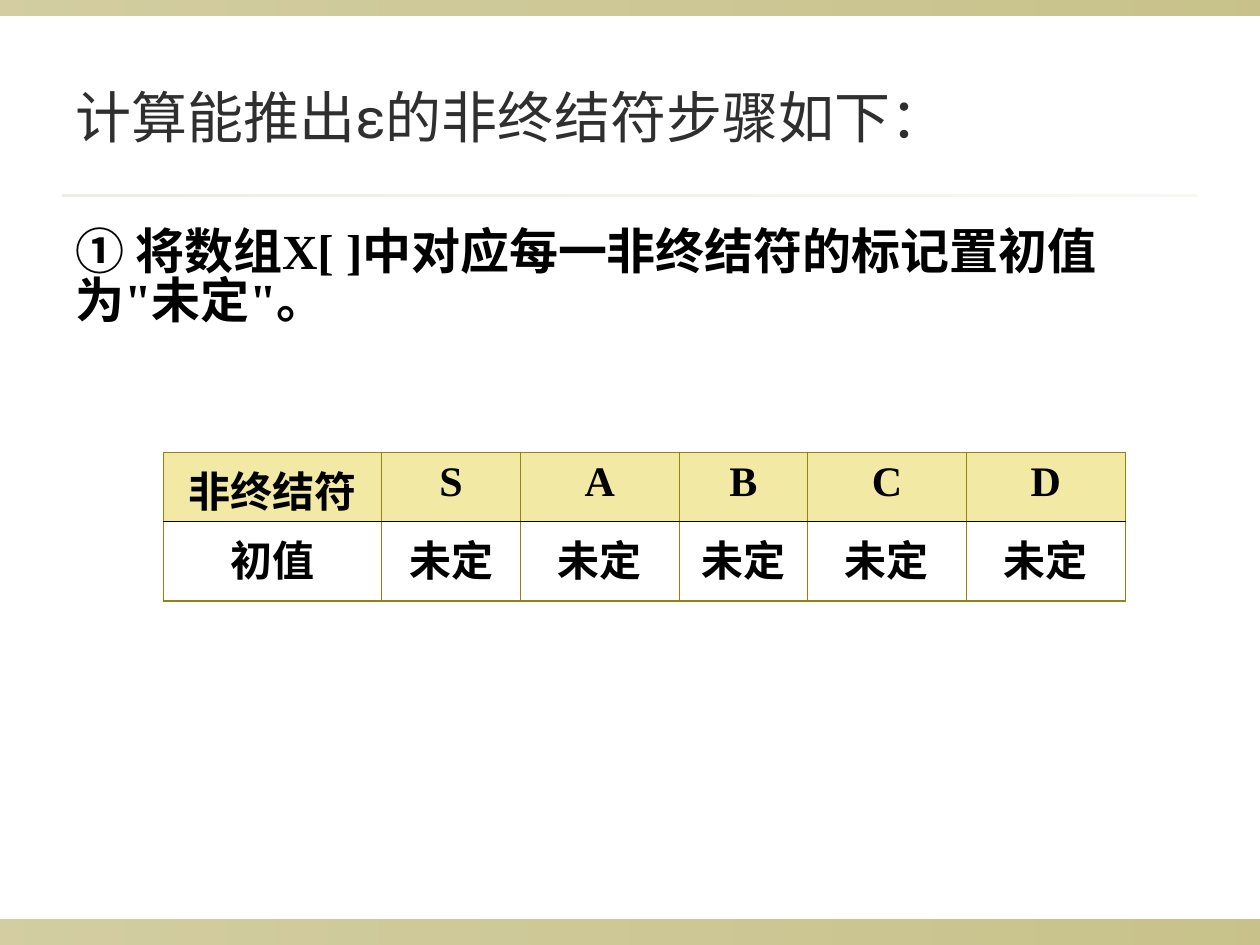
from lxml.etree import SubElement
from pptx import Presentation
from pptx.dml.color import RGBColor
from pptx.enum.shapes import MSO_SHAPE
from pptx.enum.text import MSO_ANCHOR, PP_ALIGN
from pptx.oxml.ns import qn
from pptx.util import Inches, Pt

W, H, MARGIN = 10, 7.5, 0.5
OLIVE, BLACK = "918415", "000000"
SERIF = "Times New Roman"

TITLE = "计算能推出ε的非终结符步骤如下："
STEP = "① 将数组X[ ]中对应每一非终结符的标记置初值为\"未定\"。"
SYMBOLS = ["S", "A", "B", "C", "D"]
ROWS = [["非终结符"] + SYMBOLS, ["初值"] + ["未定"] * len(SYMBOLS)]
COL_WIDTHS = [1.73, 1.1, 1.26, 1.02, 1.26, 1.26]
ROW_HEIGHTS = [0.55, 0.63]
BANDS = [
    (0, 7.3, W, 0.2, OLIVE, 40, 50),
    (0, 0, W, 0.12, OLIVE, 40, 50),
    (MARGIN, 1.54, W - 2 * MARGIN, 0.02, "DCD9CC", 50, 20),
]


def rgb(value):
    return RGBColor.from_string(value)


def set_alpha(color, percent):
    SubElement(color, qn("a:alpha"), val=str(percent * 1000))


def add_band(slide, x, y, w, h, color, start, end):
    sp = slide.shapes.add_shape(MSO_SHAPE.RECTANGLE, *map(Inches, (x, y, w, h)))
    sp.shadow.inherit = False
    sp.line.fill.background()
    sp.fill.gradient()
    sp.fill.gradient_angle = 0
    for stop, position, alpha in zip(sp.fill.gradient_stops, (0, 1), (start, end)):
        stop.position = position
        stop.color.rgb = rgb(color)
    for node, alpha in zip(sp._element.spPr.iter(qn("a:srgbClr")), (start, end)):
        set_alpha(node, alpha)


def write(tf, text, size=24, font=SERIF, color=BLACK, bold=True,
          align=PP_ALIGN.LEFT, spacing=None):
    tf.word_wrap = True
    p = tf.paragraphs[0]
    p.alignment = align
    if spacing:
        p.line_spacing = spacing
    r = p.add_run()
    r.text = text
    r.font.size, r.font.bold, r.font.name = Pt(size), bold, font
    r.font.color.rgb = rgb(color)


def add_text(slide, y, h, text, anchor=MSO_ANCHOR.TOP, top=0.05, **style):
    box = slide.shapes.add_textbox(*map(Inches, (MARGIN, y, W - 2 * MARGIN, h)))
    tf = box.text_frame
    tf.vertical_anchor, tf.margin_top = anchor, Inches(top)
    write(tf, text, **style)


def set_borders(cell, borders):
    tc_pr = cell._tc.get_or_add_tcPr()
    for i, (side, (color, width)) in enumerate(borders.items()):
        ln = tc_pr.makeelement(qn(f"a:ln{side}"), {"w": str(Pt(width))})
        fill = SubElement(ln, qn("a:solidFill"))
        SubElement(fill, qn("a:srgbClr"), val=color)
        tc_pr.insert(i, ln)


def add_grid(slide, x, y):
    n_rows, n_cols = len(ROWS), len(COL_WIDTHS)
    size = map(Inches, (x, y, sum(COL_WIDTHS), sum(ROW_HEIGHTS)))
    table = slide.shapes.add_table(n_rows, n_cols, *size).table
    for column, width in zip(table.columns, COL_WIDTHS):
        column.width = Inches(width)
    outer, inner, divider = (OLIVE, 0.75), (OLIVE, 0.45), (BLACK, 0.45)
    for i, (row, height) in enumerate(zip(ROWS, ROW_HEIGHTS)):
        table.rows[i].height = Inches(height)
        for j, text in enumerate(row):
            cell = table.cell(i, j)
            write(cell.text_frame, text, align=PP_ALIGN.CENTER)
            if i == 0:
                cell.fill.solid()
                cell.fill.fore_color.rgb = rgb("E4D54A")
                set_alpha(next(cell._tc.tcPr.iter(qn("a:srgbClr"))), 50)
            else:
                cell.fill.background()
            set_borders(cell, {
                "L": outer if j == 0 else inner,
                "R": outer if j == n_cols - 1 else inner,
                "T": outer if i == 0 else divider,
                "B": outer if i == n_rows - 1 else divider,
            })


def main():
    prs = Presentation()
    prs.slide_width, prs.slide_height = Inches(W), Inches(H)
    slide = prs.slides.add_slide(prs.slide_layouts[6])
    for band in BANDS:
        add_band(slide, *band)
    add_text(slide, 0.3, 1.25, TITLE, anchor=MSO_ANCHOR.MIDDLE,
             size=32, font="Roboto", color="2F2F2F", bold=False)
    add_text(slide, 1.75, 1.21, STEP, top=0.08, size=28, spacing=0.83)
    add_grid(slide, 1.3, 3.59)
    prs.save("out.pptx")


if __name__ == "__main__":
    main()
